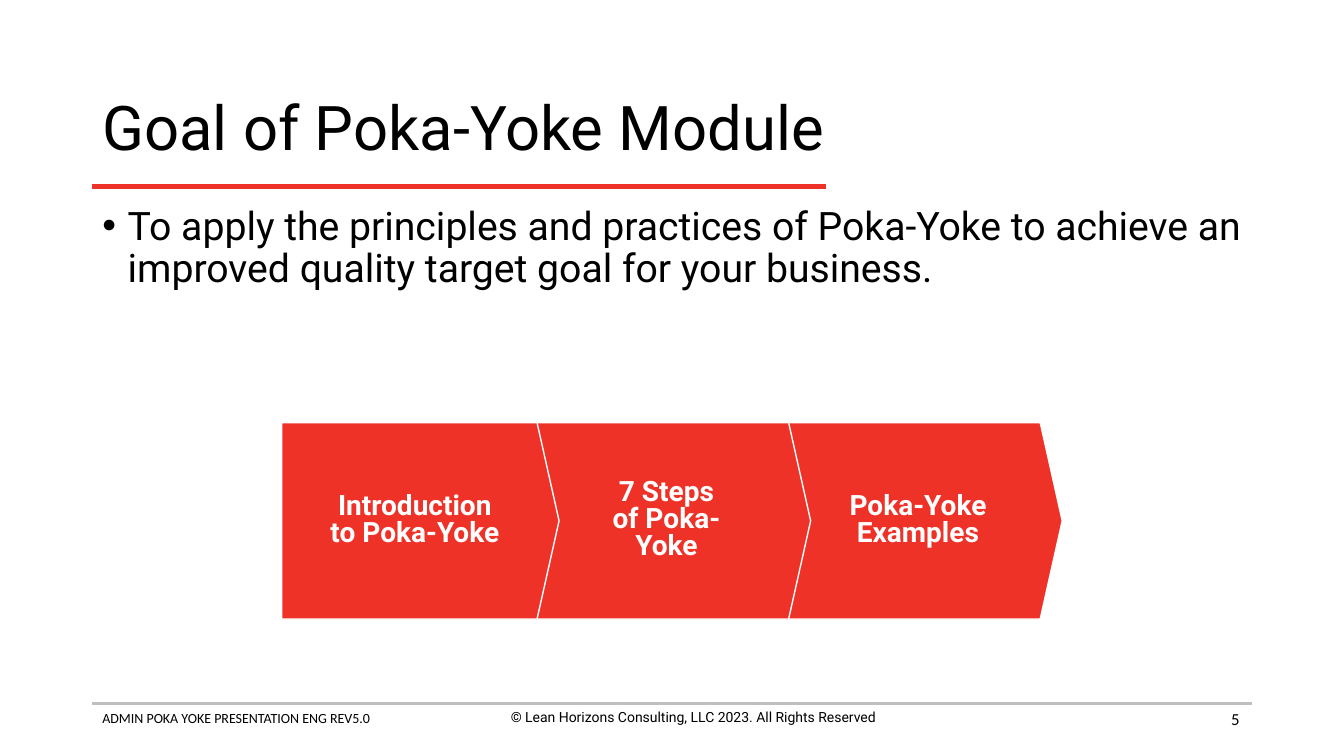
from lxml.etree import SubElement
from pptx import Presentation
from pptx.dml.color import RGBColor
from pptx.enum.shapes import MSO_CONNECTOR, MSO_SHAPE
from pptx.enum.text import MSO_ANCHOR as Anchor, PP_ALIGN as Align
from pptx.oxml.ns import qn
from pptx.util import Cm, Pt

COLORS = {"red": "EE3228", "grey": "BFBFBF", "black": "000000", "white": "FFFFFF"}
MARGIN, CONTENT_WIDTH = 2.33, 29.21


def color(name):
    return RGBColor.from_string(COLORS[name])


def write(frame, text, size, font="Roboto", ink="black", bold=False,
          align=Align.LEFT, anchor=Anchor.TOP, spacing=None, bullet=None, wrap=True):
    frame.word_wrap = wrap
    frame.vertical_anchor = anchor
    paragraph = frame.paragraphs[0]
    paragraph.text = text
    paragraph.alignment = align
    if spacing:
        paragraph.line_spacing = spacing
    if bullet:
        properties = paragraph._p.get_or_add_pPr()
        properties.set("marL", str(Cm(0.64)))
        properties.set("indent", str(-Cm(0.64)))
        SubElement(properties, qn("a:buFont")).set("typeface", "Arial")
        SubElement(properties, qn("a:buChar")).set("char", bullet)
    for run in paragraph.runs:
        run.font.size = Pt(size)
        run.font.name = font
        run.font.bold = bold
        run.font.color.rgb = color(ink)


def add_text(slide, left, top, width, height, text, size, **style):
    box = slide.shapes.add_textbox(Cm(left), Cm(top), Cm(width), Cm(height))
    write(box.text_frame, text, size, **style)


def add_rule(slide, left, top, width, ink, weight):
    rule = slide.shapes.add_connector(
        MSO_CONNECTOR.STRAIGHT, Cm(left), Cm(top), Cm(left + width), Cm(top))
    rule.line.color.rgb = color(ink)
    rule.line.width = Pt(weight)
    SubElement(rule._element.spPr, qn("a:effectLst"))


def add_heading(slide, left, top, width, height, title):
    add_rule(slide, left, top + height + 0.02, 18.49, "red", 3)
    add_text(slide, left, top, width, height, title, 44,
             anchor=Anchor.MIDDLE, spacing=0.9)


def add_goal(slide, left, top, width, height, goal):
    add_text(slide, left, top, width, height, goal, 28, spacing=0.9, bullet="•")


def add_agenda(slide, left, top, width, height, steps):
    arrow_width = 6.99
    pitch = (width - arrow_width) / (len(steps) - 1)
    # Later steps go underneath, so each tip overlaps its successor
    for index, step in reversed(list(enumerate(steps))):
        arrow = slide.shapes.add_shape(
            MSO_SHAPE.PENTAGON, Cm(left + index * pitch), Cm(top),
            Cm(arrow_width), Cm(height))
        arrow.adjustments[0] = 0.112
        arrow.shadow.inherit = False
        arrow.fill.solid()
        arrow.fill.fore_color.rgb = color("red")
        arrow.line.color.rgb = color("white")
        arrow.line.width = Pt(1)
        write(arrow.text_frame, step, 20, ink="white", bold=True, align=Align.CENTER,
              anchor=Anchor.MIDDLE, spacing=0.8, wrap=False)


def add_footer(slide, left, top, width, document, rights, number):
    add_rule(slide, left, top, width, "grey", 2)
    add_text(slide, left, top + 0.02, 11.58, 1.12, document, 10, font="Calibri")
    add_text(slide, left + 9.35, top, 11.58, 1.12, rights, 10, align=Align.CENTER)
    add_text(slide, left + width - 7.67, top - 0.13, 7.62, 1.02, number, 12,
             font="Calibri", align=Align.RIGHT, anchor=Anchor.MIDDLE)


def main():
    deck = Presentation()
    deck.slide_width, deck.slide_height = Cm(33.87), Cm(19.05)
    slide = deck.slides.add_slide(deck.slide_layouts[6])

    # Footer
    add_footer(slide, MARGIN, 17.73, CONTENT_WIDTH,
               "ADMIN POKA YOKE PRESENTATION ENG REV5.0",
               "© Lean Horizons Consulting, LLC 2023. All Rights Reserved", "5")
    # Title and goal
    add_heading(slide, MARGIN, 1.88, CONTENT_WIDTH, 2.8, "Goal of Poka-Yoke Module")
    add_goal(slide, MARGIN, 5.08, CONTENT_WIDTH, 12.09,
             "To apply the principles and practices of Poka-Yoke to achieve an "
             "improved quality target goal for your business.")
    # Module steps
    add_agenda(slide, 7.1, 10.65, 19.67, 4.95,
               ["Introduction\nto Poka-Yoke", "7 Steps\nof Poka-\nYoke",
                "Poka-Yoke\nExamples"])

    deck.save("out.pptx")


if __name__ == "__main__":
    main()
